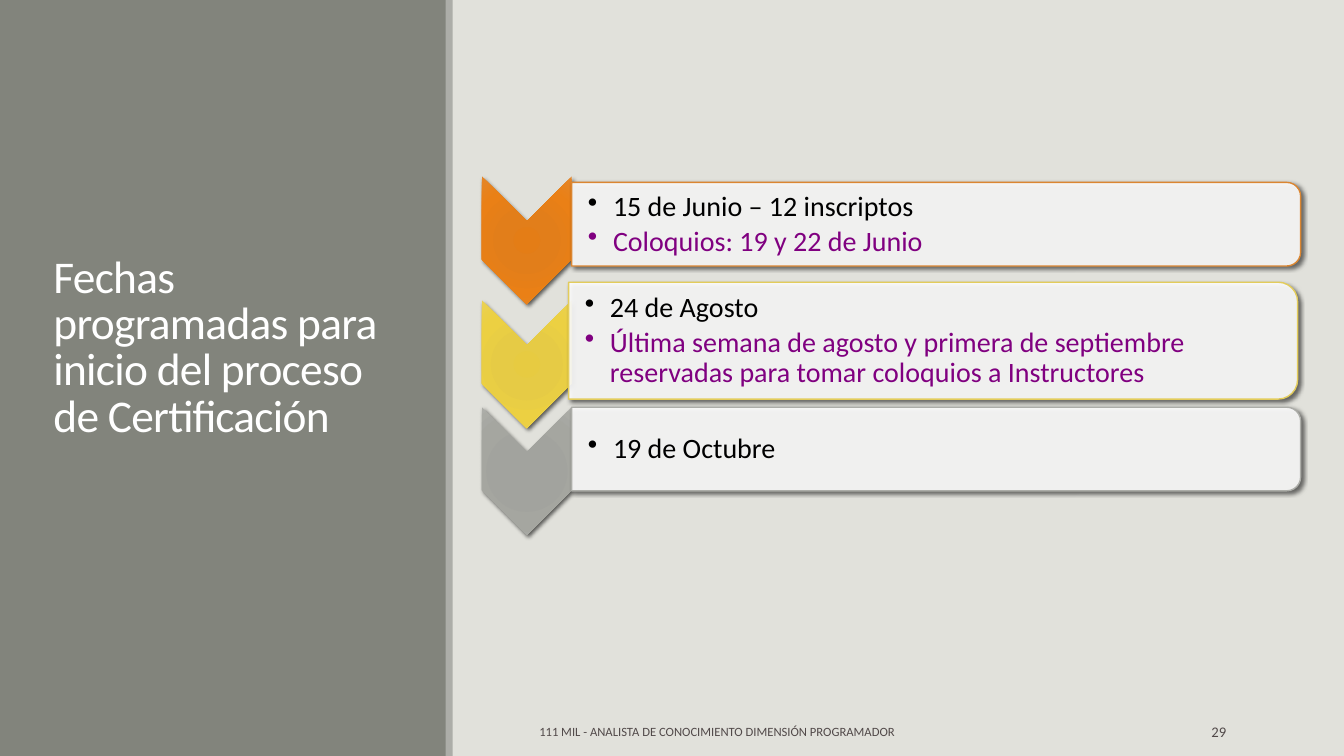
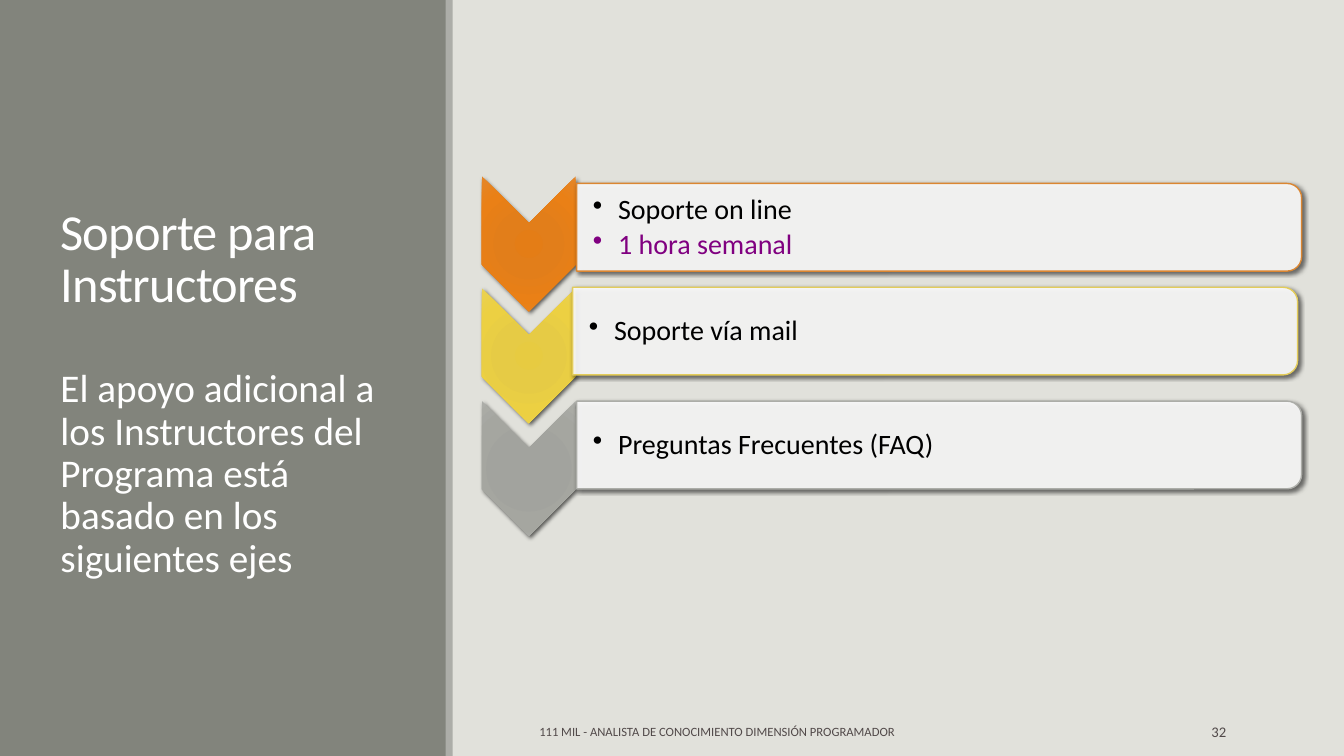
from pptx import Presentation
from pptx.dml.color import RGBColor
from pptx.enum.shapes import MSO_SHAPE as Preset
from pptx.enum.text import MSO_ANCHOR as Anchor, MSO_AUTO_SIZE as AutoSize, PP_ALIGN as Align
from pptx.oxml import parse_xml
from pptx.oxml.ns import nsdecls, qn
from pptx.util import Inches, Pt

BACKGROUND = RGBColor(0xE1, 0xE1, 0xDB)
BAND = RGBColor(0x82, 0x84, 0x7C)
GRAY = RGBColor(0xAC, 0xAD, 0xA8)
ORANGE = RGBColor(0xDB, 0x86, 0x31)
YELLOW = RGBColor(0xE3, 0xCC, 0x5A)
WHITE = RGBColor(0xFF, 0xFF, 0xFF)
BLACK = RGBColor(0x00, 0x00, 0x00)
PURPLE = RGBColor(0x80, 0x00, 0x80)
FOOTER = RGBColor(0x51, 0x49, 0x49)

FONT = "Calibri"
STOPS = (0, 34, 70, 100)
ROW_STYLES = [
    (ORANGE, ("E47D16", "E27E1A", "EA8016", "E48629")),
    (YELLOW, ("E7CB41", "E6CB45", "ECD042", "EAD153")),
    (GRAY, ("A1A29C", "A2A39E", "A5A6A0", "ACADA8")),
]
FOOTER_TEXT = "111 MIL - ANALISTA DE CONOCIMIENTO DIMENSIÓN PROGRAMADOR"

SLIDES = [
    {
        "layout": 5,
        "title": ("Fechas programadas para inicio del proceso de Certificación", 32.4, 0.43, 1.93),
        "number": "29",
        "chevron": (0.89, 1.27),
        "panel_width": 7.23,
        "rows": [
            (1.75, 5.67, 1.81, 0.83, ["15 de Junio – 12 inscriptos", "Coloquios: 19 y 22 de Junio"]),
            (2.98, 5.64, 2.8, 1.16, [
                "24 de Agosto",
                "Última semana de agosto y primera de septiembre reservadas para tomar coloquios a Instructores",
            ]),
            (4.04, 5.67, 4.04, 0.83, ["19 de Octubre"]),
        ],
    },
    {
        "layout": 1,
        "title": ("Soporte para Instructores", 36, 0.5, 0.65),
        "body": "El apoyo adicional a los Instructores del Programa está basado en los siguientes ejes",
        "number": "32",
        "chevron": (0.93, 1.34),
        "panel_width": 7.19,
        "rows": [
            (1.75, 5.72, 1.82, 0.87, ["Soporte on line", "1 hora semanal"]),
            (2.86, 5.68, 2.85, 0.87, ["Soporte vía mail"]),
            (3.98, 5.72, 3.98, 0.87, ["Preguntas Frecuentes (FAQ)"]),
        ],
    },
]


def add_run(paragraph, text, size, color):
    run = paragraph.add_run()
    run.text = text
    run.font.name = FONT
    run.font.size = Pt(size)
    run.font.color.rgb = color
    return run


def add_turned_shape(slide, preset, left, top, width, height):
    shape = slide.shapes.add_shape(
        preset,
        Inches(left + (width - height) / 2),
        Inches(top + (height - width) / 2),
        Inches(height),
        Inches(width),
    )
    shape.rotation = 90
    shape.shadow.inherit = False
    shape.element.spPr.find(qn("a:effectLst")).append(parse_xml(
        f'<a:outerShdw {nsdecls("a")} blurRad="{Pt(3)}" dist="{Pt(2)}" dir="2700000" '
        'algn="br" rotWithShape="0"><a:srgbClr val="000000"><a:alpha val="60000"/>'
        '</a:srgbClr></a:outerShdw>'
    ))
    return shape


presentation = Presentation()
presentation.slide_width = Inches(13.33)
presentation.slide_height = Inches(7.5)
master = presentation.slide_master
master.background.fill.solid()
master.background.fill.fore_color.rgb = BACKGROUND

slides = [
    presentation.slides.add_slide(presentation.slide_layouts[content["layout"]])
    for content in SLIDES
]

for index, (left, width, color) in enumerate([(0, 4.43, BAND), (4.42, 0.07, GRAY)]):
    band = slides[0].shapes.add_shape(
        Preset.RECTANGLE, Inches(left), 0, Inches(width), presentation.slide_height
    )
    band.shadow.inherit = False
    band.fill.solid()
    band.fill.fore_color.rgb = color
    band.line.fill.background()
    band.element.nvSpPr.cNvPr.id = 20 + index
    master.shapes.element.insert(2 + index, band.element)

for slide, content in zip(slides, SLIDES):
    title_text, title_size, left, top = content["title"]
    title = slide.shapes.title
    title.left, title.top = Inches(left), Inches(top)
    title.width, title.height = Inches(3.5), Inches(2.5)
    frame = title.text_frame
    frame.auto_size = AutoSize.NONE
    frame.word_wrap = True
    frame.vertical_anchor = Anchor.BOTTOM
    paragraph = frame.paragraphs[0]
    paragraph.alignment = Align.LEFT
    paragraph.line_spacing = 0.85
    run = add_run(paragraph, title_text, title_size, WHITE)
    run.font._element.set("spc", "-50")

    if "body" in content:
        body = slide.placeholders[1]
        body.left, body.top = Inches(0.5), Inches(3.61)
        body.width, body.height = Inches(3.65), Inches(3.6)
        body.text_frame.auto_size = AutoSize.NONE
        paragraph = body.text_frame.paragraphs[0]
        paragraph.line_spacing = 0.9
        paragraph.space_before = Pt(12)
        paragraph.space_after = Pt(2)
        properties = paragraph._p.get_or_add_pPr()
        properties.set("marL", "0")
        properties.set("indent", "0")
        properties.append(parse_xml(f'<a:buNone {nsdecls("a")}/>'))
        add_run(paragraph, content["body"], 28, WHITE)

    chevron_width, chevron_height = content["chevron"]
    panel_width = content["panel_width"]
    for row, (line_color, gradient) in zip(content["rows"], ROW_STYLES):
        chevron_top, panel_left, panel_top, panel_height, lines = row
        chevron = add_turned_shape(
            slide, Preset.CHEVRON, 4.78, chevron_top, chevron_width, chevron_height
        )
        chevron.line.fill.background()
        stops = "".join(
            f'<a:gs pos="{stop * 1000}"><a:srgbClr val="{color}"/></a:gs>'
            for stop, color in zip(STOPS, gradient)
        )
        chevron.element.spPr.find(qn("a:prstGeom")).addnext(parse_xml(
            f'<a:gradFill {nsdecls("a")} rotWithShape="1"><a:gsLst>{stops}</a:gsLst>'
            '<a:path path="circle"><a:fillToRect l="100000" t="100000" r="100000" b="100000"/>'
            '</a:path></a:gradFill>'
        ))

        panel = add_turned_shape(
            slide, Preset.ROUND_2_SAME_RECTANGLE, panel_left, panel_top, panel_width, panel_height
        )
        panel.fill.solid()
        panel.fill.fore_color.rgb = WHITE
        panel.element.spPr.find(qn("a:solidFill"))[0].append(
            parse_xml(f'<a:alpha {nsdecls("a")} val="90000"/>')
        )
        panel.line.color.rgb = line_color
        panel.line.width = Pt(1)

        text_box = slide.shapes.add_textbox(
            Inches(panel_left), Inches(panel_top + 0.05),
            Inches(panel_width - 0.04), Inches(panel_height - 0.09),
        )
        frame = text_box.text_frame
        frame.word_wrap = True
        frame.vertical_anchor = Anchor.MIDDLE
        frame.margin_left = Inches(0.16)
        frame.margin_top = frame.margin_right = frame.margin_bottom = Inches(0.01)
        for index, (line, color) in enumerate(zip(lines, (BLACK, PURPLE))):
            paragraph = frame.add_paragraph() if index else frame.paragraphs[0]
            paragraph.line_spacing = 0.9
            paragraph.space_after = Pt(3)
            properties = paragraph._p.get_or_add_pPr()
            properties.set("marL", str(Inches(0.25)))
            properties.set("indent", str(-Inches(0.25)))
            properties.append(parse_xml(f'<a:buChar {nsdecls("a")} char="•"/>'))
            add_run(paragraph, line, 20, color)

    for left, width, text, size, alignment in [
        (5.25, 5.08, FOOTER_TEXT, 9, Align.LEFT),
        (10.83, 1.43, content["number"], 10.5, Align.RIGHT),
    ]:
        footer = slide.shapes.add_textbox(Inches(left), Inches(7.06), Inches(width), Inches(0.4))
        footer.text_frame.word_wrap = True
        footer.text_frame.vertical_anchor = Anchor.MIDDLE
        paragraph = footer.text_frame.paragraphs[0]
        paragraph.alignment = alignment
        add_run(paragraph, text, size, FOOTER)

presentation.save("out.pptx")
